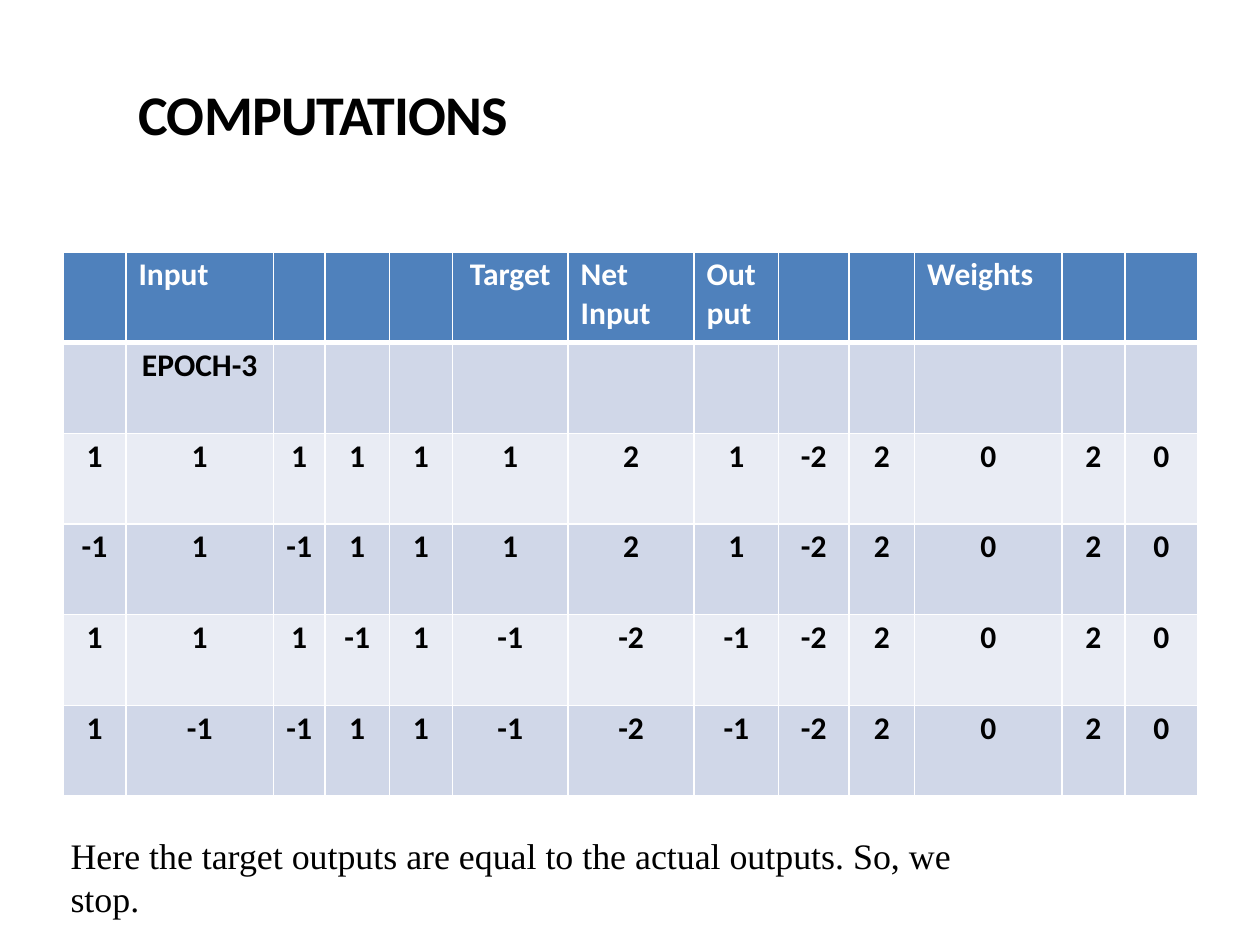
from lxml.etree import SubElement
from pptx import Presentation
from pptx.dml.color import RGBColor
from pptx.enum.text import MSO_ANCHOR, PP_ALIGN
from pptx.oxml.ns import qn
from pptx.util import Inches, Pt

COLORS = {"text": "000000", "white": "FFFFFF", "header": "4F81BC",
          "dark_band": "D0D7E8", "light_band": "E9ECF4"}
TITLE = "COMPUTATIONS"
CONCLUSION = "Here the target outputs are equal to the actual outputs. So, we stop."
HEADERS = ["", "Input", "", "", "", "Target", "Net\nInput", "Out\nput", "", "", "Weights", "", ""]
EPOCH = ["", "EPOCH-3"] + [""] * 11
WEIGHT_VALUES = [-2, 2, 0, 2, 0]
SAMPLES = [
    [1, 1, 1, 1, 1, 1, 2, 1],
    [-1, 1, -1, 1, 1, 1, 2, 1],
    [1, 1, 1, -1, 1, -1, -2, -1],
    [1, -1, -1, 1, 1, -1, -2, -1],
]
ROWS = [HEADERS, EPOCH] + [sample + WEIGHT_VALUES for sample in SAMPLES]
COLUMN_WIDTHS = [0.5, 1.17, 0.41, 0.51, 0.5, 0.92, 1, 0.67, 0.56, 0.52, 1.17, 0.5, 0.58]
ROW_HEIGHT = 0.72


def rgb(name):
    return RGBColor.from_string(COLORS[name])


def set_margins(frame, left=0, top=0.01):
    frame.margin_left, frame.margin_top = Inches(left), Inches(top)
    frame.margin_right = frame.margin_bottom = 0


def style_paragraph(paragraph, size, color, font="Calibri", bold=True, before=0):
    paragraph.font.size, paragraph.font.name = Pt(size), font
    paragraph.font.bold = bold
    paragraph.font.color.rgb = rgb(color)
    paragraph.space_before = Pt(before)


def set_borders(cell, widths):
    properties = cell._tc.get_or_add_tcPr()
    for position, (side, width) in enumerate(widths.items()):
        line = SubElement(properties, qn(f"a:ln{side}"), w=str(Pt(width)))
        fill = SubElement(line, qn("a:solidFill"))
        SubElement(fill, qn("a:srgbClr"), val=COLORS["white"])
        properties.insert(position, line)


def fill_cell(cell, value, row):
    is_header = row == 0
    band = "header" if is_header else "dark_band" if row % 2 else "light_band"
    cell.fill.solid()
    cell.fill.fore_color.rgb = rgb(band)
    set_borders(cell, {"L": 1, "R": 1, "T": 3 if row == 1 else 1, "B": 3 if is_header else 1})
    left_aligned = is_header and value != "Target"
    set_margins(cell, 0.1 if left_aligned else 0, 0.03)
    cell.vertical_anchor = MSO_ANCHOR.TOP
    cell.text = str(value)
    for index, paragraph in enumerate(cell.text_frame.paragraphs):
        style_paragraph(paragraph, 18, "white" if is_header else "text",
                        before=0.1 if index else 2.5)
        paragraph.alignment = PP_ALIGN.LEFT if left_aligned else PP_ALIGN.CENTER


def add_title(slide):
    title = slide.shapes.title
    title.left, title.top, title.width, title.height = map(Inches, (1.08, 0.62, 5.44, 0.56))
    frame = title.text_frame
    frame.text = TITLE
    frame.vertical_anchor = MSO_ANCHOR.TOP
    set_margins(frame, 0.02)
    paragraph = frame.paragraphs[0]
    paragraph.alignment = PP_ALIGN.LEFT
    style_paragraph(paragraph, 32, "text", before=1.1)
    paragraph.runs[0].font._element.set("spc", "-50")


def add_computation_table(slide):
    table = slide.shapes.add_table(
        len(ROWS), len(COLUMN_WIDTHS), Inches(0.5), Inches(2),
        Inches(sum(COLUMN_WIDTHS)), Inches(ROW_HEIGHT * len(ROWS))).table
    for column, width in zip(table.columns, COLUMN_WIDTHS):
        column.width = Inches(width)
    for row, values in enumerate(ROWS):
        table.rows[row].height = Inches(ROW_HEIGHT)
        for column, value in enumerate(values):
            fill_cell(table.cell(row, column), value, row)


def add_conclusion(slide):
    box = slide.shapes.add_textbox(*map(Inches, (0.55, 6.61, 7.52, 0.37)))
    frame = box.text_frame
    frame.word_wrap = True
    frame.text = CONCLUSION
    set_margins(frame, 0.01)
    style_paragraph(frame.paragraphs[0], 20.5, "text", "Times New Roman", False, 1.1)


def main():
    """Build the perceptron computations slide."""
    presentation = Presentation()
    presentation.slide_width, presentation.slide_height = Inches(10), Inches(7.5)
    slide = presentation.slides.add_slide(presentation.slide_layouts[5])
    add_title(slide)
    add_computation_table(slide)
    add_conclusion(slide)
    presentation.save("out.pptx")


if __name__ == "__main__":
    main()
